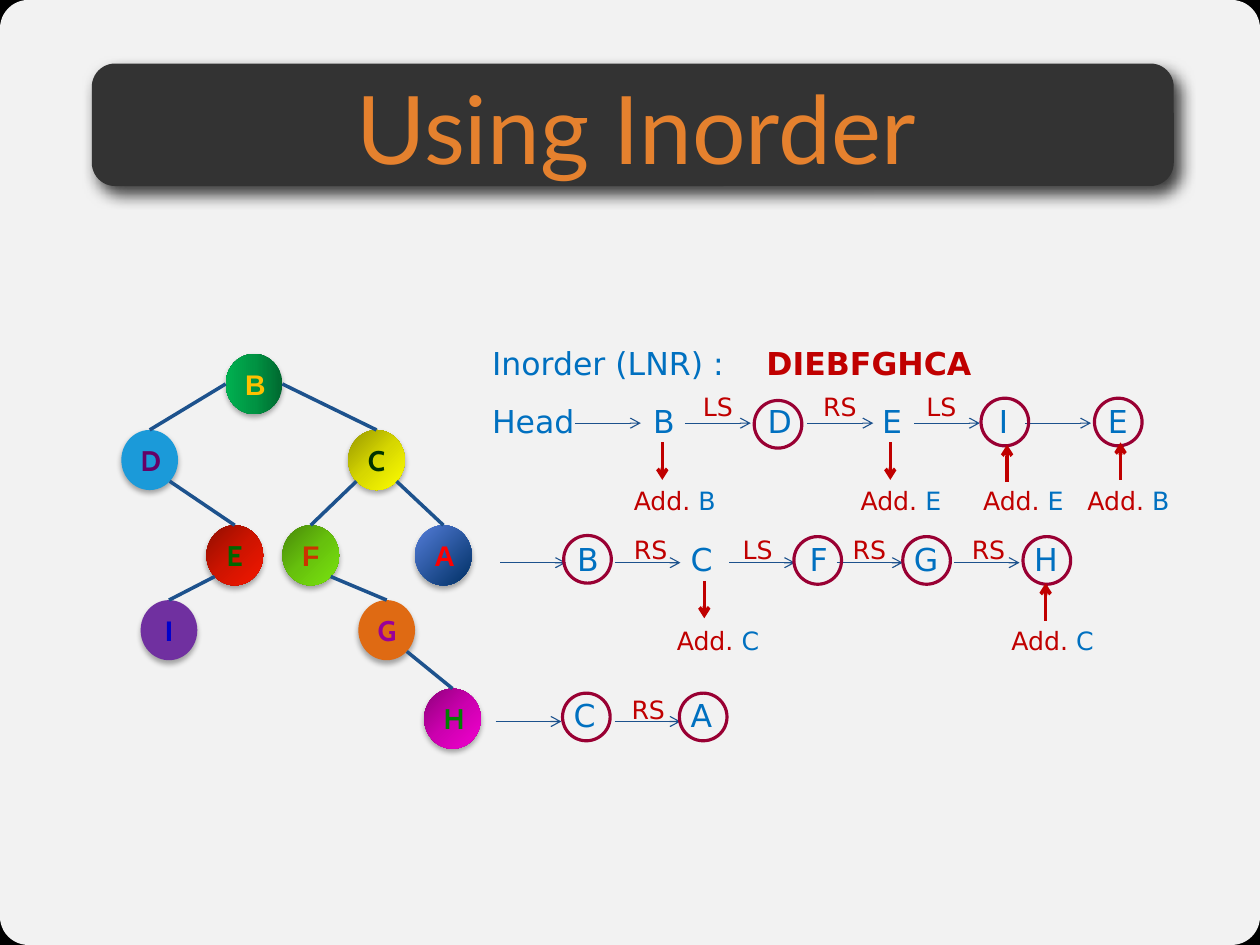
from copy import deepcopy
from dataclasses import dataclass
from math import cos, radians, sin

from lxml import etree
from pptx import Presentation
from pptx import util as u
from pptx.dml.color import RGBColor
from pptx.enum import shapes, text
from pptx.oxml.ns import qn


@dataclass(frozen=True)
class Theme:
    """Colours, fonts and type sizes of the slide."""
    back: str = "000000"
    paper: str = "FFFFFF"
    banner: str = "333333"
    title: str = "E5812E"
    link: str = "1D528D"
    blue: str = "0070C0"
    red: str = "C00000"
    ring: str = "990033"
    title_font: str = "Lato"
    body_font: str = "DejaVu Sans"
    title_size: int = 60
    letter_size: int = 20
    node_size: int = 18
    label_size: int = 16


@dataclass(frozen=True)
class Row:
    """One line of the traversal, with places in px."""
    top: int
    arrow_y: int
    arrows: tuple
    step_y: int
    steps: tuple
    visits: tuple
    rings: tuple
    caption_y: int = 0
    pushes: tuple = ()


T = Theme()
PX = u.Inches(1) // 100
ARROW, PUSH, RING = 58, 33, 42
NODE_W, NODE_H = 50, 53
RIGHT, LOW_RIGHT, LOW_LEFT, LEFT = 0, 45, 135, 180

NODES = {
    "A": (366, 463, ("547DD8", "003065"), 45, "Arial", "FF0000"),
    "B": (199, 312, ("00682F", "009443", "00B050"), 180, "Arial", "FFC000"),
    "H": (374, 607, ("8F007B", "CC00AF", "F200CF"), 45, "Cabin", "008000"),
    "C": (307, 379, ("979700", "D7D700", "FFFF00"), 45, "Cabin", "003300"),
    "D": (107, 379, ("1B9AD9",), 0, "Cabin", "660066"),
    "E": (182, 463, ("910E00", "CE1400", "F41700"), 45, "Cabin", "006600"),
    "F": (249, 463, ("488809", "67C10D", "7AE50F"), 45, "Arial", "CC3300"),
    "G": (316, 529, ("DF6A13",), 0, "Cabin", "990099"),
    "I": (124, 529, ("7030A0",), 0, "Arial", "0000CC"),
}
EDGES = (("B", LEFT, "D"), ("B", RIGHT, "C"), ("D", LOW_RIGHT, "E"), ("E", LOW_LEFT, "I"),
         ("C", LOW_LEFT, "F"), ("C", LOW_RIGHT, "A"), ("F", LOW_RIGHT, "G"), ("G", LOW_RIGHT, "H"))
ROWS = (
    Row(349, 373, (507, 604, 712, 806, 904), 340, (("LS", 610), ("RS", 716), ("LS", 807)),
        (("B", 566), ("D", 667), ("E", 768), ("I", 871), ("E", 967)),
        ((665, 353), (865, 351), (965, 351)), 423,
        (("B", 549, 584, 390, False), ("E", 749, 785, 390, False),
         ("E", 857, 888, 392, True), ("B", 949, 988, 390, True))),
    Row(471, 496, (441, 542, 643, 738, 841), 466,
        (("RS", 549), ("LS", 645), ("RS", 742), ("RS", 847)),
        (("B", 499), ("C", 599), ("F", 704), ("G", 796), ("H", 902)),
        ((497, 472), (700, 473), (796, 473), (902, 473)), 546,
        (("C", 587, 621, 512, False), ("C", 882, 922, 514, True))),
    Row(609, 636, (437, 542), 607, (("RS", 547),), (("C", 496), ("A", 599)),
        ((496, 611), (599, 611))),
)


def px(*lengths):
    """Turn px into EMU."""
    return [u.Emu(round(n * PX)) for n in lengths]


def rgb(color):
    """Turn a hex string into a colour."""
    return RGBColor.from_string(color)


def style(r, size, color, font=T.body_font, bold=False):
    """Format one run."""
    r.font.size, r.font.name, r.font.bold = u.Pt(size), font, bold
    r.font.color.rgb = rgb(color)


def add_alpha(color, percent):
    """Make a colour element partly transparent."""
    etree.SubElement(color, qn("a:alpha"), val=str(percent * 1000))


def add_shadow(sp, alpha, blur, dist, angle):
    """Give a shape a black outer shadow."""
    effects = sp.element.spPr.find(qn("a:effectLst"))
    outer = etree.SubElement(effects, qn("a:outerShdw"), blurRad=str(u.Pt(blur)),
                             dist=str(u.Pt(dist)), dir=str(angle * 60000),
                             algn="ctr", rotWithShape="0")
    add_alpha(etree.SubElement(outer, qn("a:srgbClr"), val="000000"), alpha)


def add_shape(slide, kind, x, y, w, h, colors=(), angle=0):
    """Add a shape without line or shadow, filled with one colour or a gradient."""
    sp = slide.shapes.add_shape(kind, *px(x, y, w, h))
    sp.shadow.inherit = False
    sp.line.fill.background()
    if not colors:
        sp.fill.background()
    elif len(colors) == 1:
        sp.fill.solid()
        sp.fill.fore_color.rgb = rgb(colors[0])
    else:
        sp.fill.gradient()
        sp.fill.gradient_angle = (360 - angle) % 360
        stops = sp.element.spPr.find(qn("a:gradFill")).find(qn("a:gsLst"))
        for _ in colors[2:]:
            stops.insert(1, deepcopy(stops[0]))
        for i, (stop, color) in enumerate(zip(sp.fill.gradient_stops, colors)):
            stop.position = i / (len(colors) - 1)
            stop.color.rgb = rgb(color)
    return sp


def add_label(slide, x, y, w, h, parts, size, bold=False):
    """Add a text box made of (wording, colour) parts."""
    tf = slide.shapes.add_textbox(*px(x, y, w, h)).text_frame
    tf.word_wrap = True
    for wording, color in parts:
        r = tf.paragraphs[0].add_run()
        r.text = wording
        style(r, size, color, bold=bold)


def add_line(slide, start, end, color, width, arrow=False):
    """Add a straight line, with an arrowhead at its end if wanted."""
    c = slide.shapes.add_connector(shapes.MSO_CONNECTOR.STRAIGHT, *px(*start, *end))
    c.line.color.rgb = rgb(color)
    c.line.width = u.Pt(width)
    if arrow:
        etree.SubElement(c.element.spPr.find(qn("a:ln")), qn("a:tailEnd"), type="arrow")
    etree.SubElement(c.element.spPr, qn("a:effectLst"))
    return c


def add_node(slide, letter, x, y, colors, angle, font, color):
    """Add one tree node."""
    sp = add_shape(slide, shapes.MSO_SHAPE.OVAL, x, y, NODE_W, NODE_H, colors, angle)
    add_shadow(sp, 32, 3.5, 2.2, 90)
    tf = sp.text_frame
    tf.text = letter
    tf.vertical_anchor = text.MSO_ANCHOR.MIDDLE
    p = tf.paragraphs[0]
    p.alignment = text.PP_ALIGN.CENTER
    style(p.runs[0], T.node_size, color, font, True)
    return sp


def add_tree(slide):
    """Draw the nodes and the edges from each parent to the top of its child."""
    nodes = {letter: add_node(slide, letter, *look) for letter, look in NODES.items()}
    for parent, angle, child in EDGES:
        x, y = NODES[parent][:2]
        start = (x + NODE_W / 2 * (1 + cos(radians(angle))),
                 y + NODE_H / 2 * (1 + sin(radians(angle))))
        end = (NODES[child][0] + NODE_W / 2, NODES[child][1])
        add_line(slide, start, end, T.link, 2.25).end_connect(nodes[child], 0)


def add_row(slide, row):
    """Draw one line of the traversal."""
    for letter, x in row.visits:
        add_label(slide, x, row.top, 42, 44, [(letter, T.blue)], T.letter_size)
    for x in row.arrows:
        add_line(slide, (x, row.arrow_y), (x + ARROW, row.arrow_y), T.link, 0.75, True)
    for step, x in row.steps:
        add_label(slide, x, row.step_y, 58, 37, [(step, T.red)], T.label_size)
    for x, y in row.rings:
        ring = add_shape(slide, shapes.MSO_SHAPE.OVAL, x, y, RING, RING)
        ring.line.color.rgb = rgb(T.ring)
        ring.line.width = u.Pt(2)
    for letter, left, x, y, up in row.pushes:
        ends = [(x, y), (x, y + PUSH)]
        add_line(slide, *(reversed(ends) if up else ends), T.red, 2.25, True)
        add_label(slide, left, row.caption_y, 100, 37,
                  [("Add. ", T.red), (letter, T.blue)], T.label_size)


def add_title(slide, wording):
    """Draw the banner and set the title on it."""
    banner = add_shape(slide, shapes.MSO_SHAPE.ROUNDED_RECTANGLE, 81, 56, 954, 108, (T.banner,))
    banner.adjustments[0] = 0.19
    add_shadow(banner, 75, 10, 6, 51)
    title = slide.shapes.title
    slide.shapes.element.append(title.element)
    title.left, title.top, title.width, title.height = px(86, 62, 950, 100)
    tf = title.text_frame
    tf.text = wording
    tf.margin_left = tf.margin_right = tf.margin_top = tf.margin_bottom = 0
    tf.vertical_anchor = text.MSO_ANCHOR.MIDDLE
    tf.paragraphs[0].alignment = text.PP_ALIGN.CENTER
    style(tf.paragraphs[0].runs[0], T.title_size, T.title, T.title_font)


def main():
    """Build the slide."""
    prs = Presentation()
    prs.slide_width, prs.slide_height = px(1111, 833)
    slide = prs.slides.add_slide(prs.slide_layouts[5])
    slide.background.fill.solid()
    slide.background.fill.fore_color.rgb = rgb(T.back)
    paper = add_shape(slide, shapes.MSO_SHAPE.ROUNDED_RECTANGLE, 0, 0, 1111, 833, (T.paper,))
    paper.adjustments[0] = 0.03
    add_alpha(paper.element.spPr.find(qn("a:solidFill"))[0], 95)
    add_title(slide, "Using Inorder")
    add_tree(slide)
    add_label(slide, 424, 298, 250, 44, [("Inorder (LNR) :", T.blue)], T.letter_size)
    add_label(slide, 666, 298, 283, 44, [("DIEBFGHCA", T.red)], T.letter_size, bold=True)
    add_label(slide, 424, 349, 100, 44, [("Head", T.blue)], T.letter_size)
    for row in ROWS:
        add_row(slide, row)
    prs.save("out.pptx")


if __name__ == "__main__":
    main()
